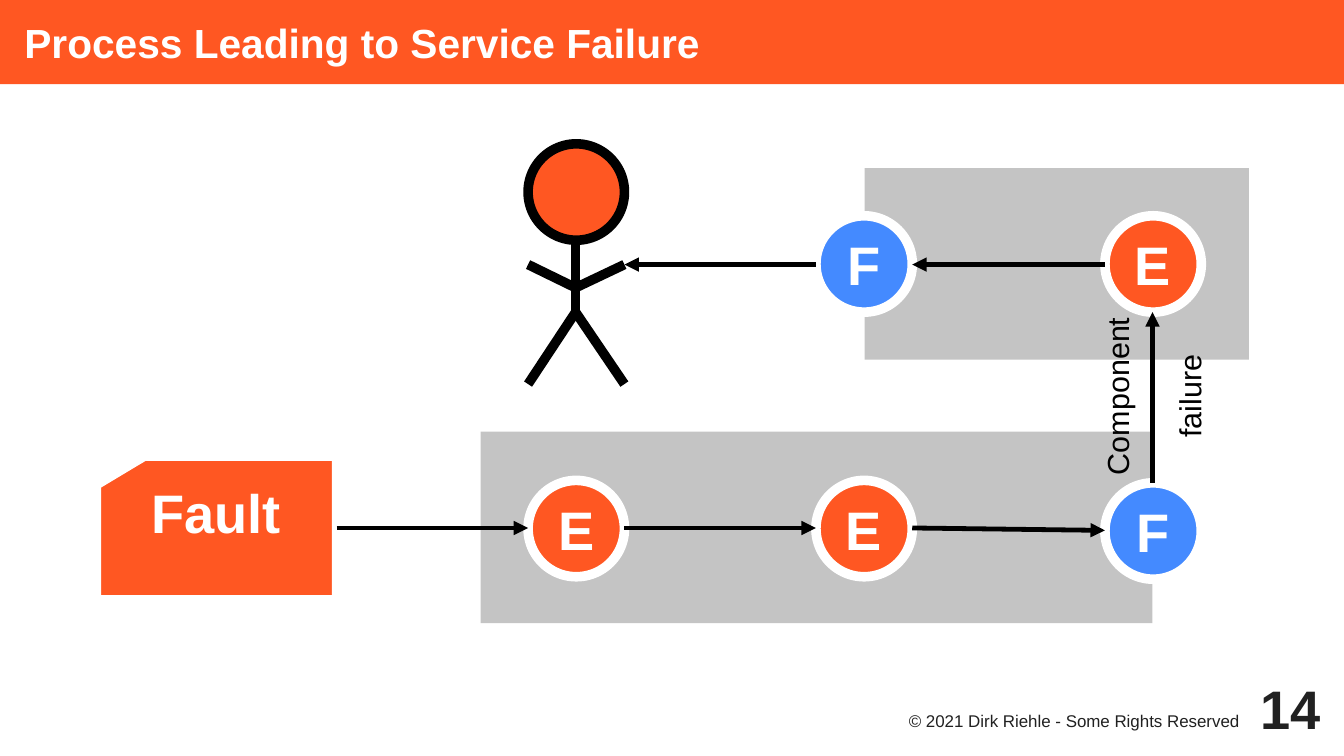
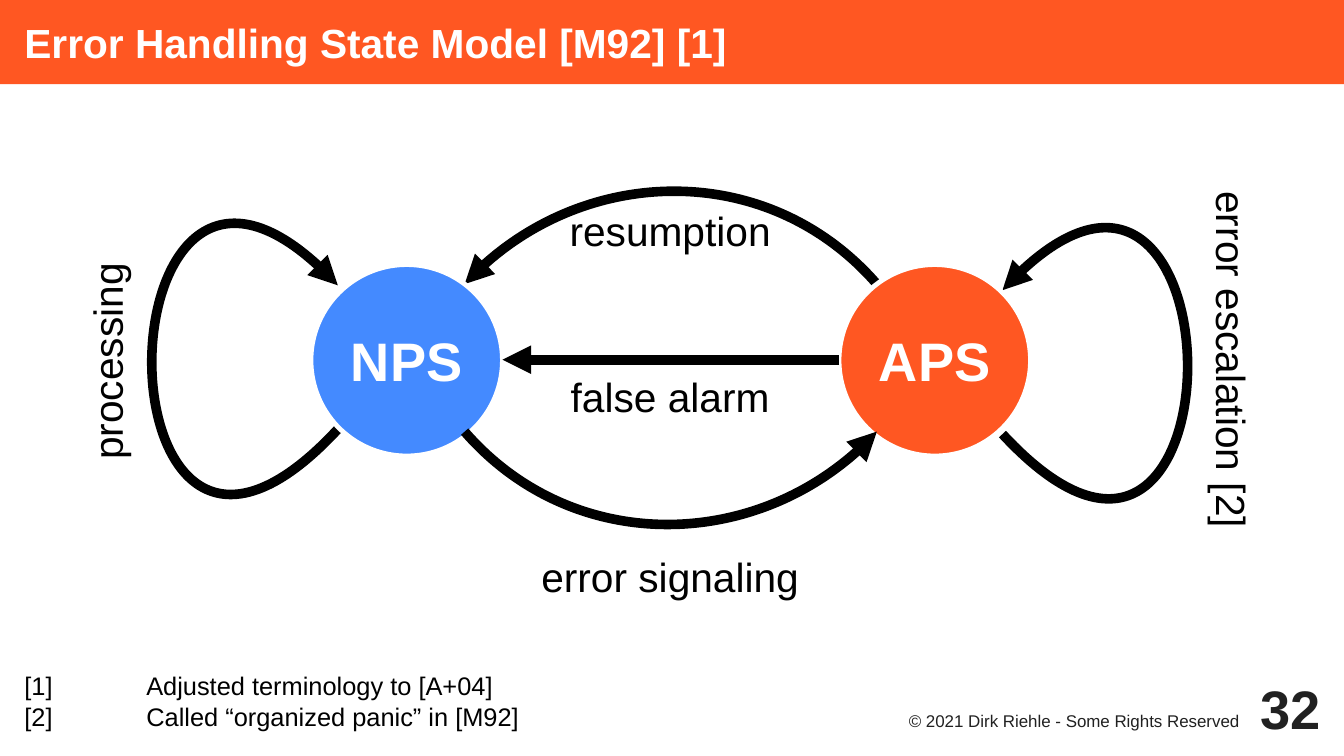
import lxml.etree
import pptx
import pptx.dml.color
import pptx.enum.shapes
import pptx.enum.text
import pptx.oxml.ns
import pptx.util

Inches = pptx.util.Inches
Pt = pptx.util.Pt
qn = pptx.oxml.ns.qn
Shape = pptx.enum.shapes.MSO_SHAPE
Align = pptx.enum.text.PP_ALIGN
Anchor = pptx.enum.text.MSO_ANCHOR

WIDTH, HEIGHT = 11.02, 6.2
FONT = "Arial"
THIN, THICK = 2.83, 5.67
COLORS = {
    "orange": "FF5722",
    "blue": "448AFF",
    "gray": "C4C4C4",
    "black": "000000",
    "white": "FFFFFF",
    "footer": "212121",
}


def rgb(name):
    """Return the named colour."""
    return pptx.dml.color.RGBColor.from_string(COLORS[name])


def write(tf, text, size=24, color="black", bold=False, align=Align.CENTER,
          anchor=Anchor.MIDDLE, insets=(0.08, 0.08, 0.08, 0.08), wrap=True,
          gap=0, tab=None):
    """Fill a text frame with one paragraph per line of text."""
    tf.auto_size = pptx.enum.text.MSO_AUTO_SIZE.NONE
    tf.word_wrap = wrap
    tf.vertical_anchor = anchor
    tf.margin_left, tf.margin_top, tf.margin_right, tf.margin_bottom = map(Inches, insets)
    for i, line in enumerate(text.split("\n")):
        p = tf.paragraphs[0] if i == 0 else tf.add_paragraph()
        p.alignment = align
        p.space_before = Pt(gap if i else 0)
        if tab:
            tabs = lxml.etree.SubElement(p._p.get_or_add_pPr(), qn("a:tabLst"))
            lxml.etree.SubElement(tabs, qn("a:tab"), pos=str(Inches(tab)), algn="l")
        r = p.add_run()
        r.text = line
        r.font.name = FONT
        r.font.size = Pt(size)
        r.font.bold = bold
        r.font.color.rgb = rgb(color)


def label(shapes, box, text, rotation=0, **fmt):
    """Add a text box."""
    sp = shapes.add_textbox(*map(Inches, box))
    sp.rotation = rotation
    write(sp.text_frame, text, **fmt)


def block(shapes, kind, box, fill, edge=None, width=THICK):
    """Add a filled preset shape with an optional outline."""
    sp = shapes.add_shape(kind, *map(Inches, box))
    sp.shadow.inherit = False
    sp.fill.solid()
    sp.fill.fore_color.rgb = rgb(fill)
    if edge:
        sp.line.color.rgb = rgb(edge)
        sp.line.width = Pt(width)
    else:
        sp.line.fill.background()
    return sp


def disc(shapes, x, y, size, fill, text, width=THICK):
    """Add a lettered circle with a white rim."""
    sp = block(shapes, Shape.OVAL, (x, y, size, size), fill, "white", width)
    write(sp.text_frame, text, size=32, color="white", bold=True, wrap=False)


def stroke(sp, width, arrow):
    """Style a line and give it an arrowhead if wanted."""
    sp.line.color.rgb = rgb("black")
    sp.line.width = Pt(width)
    if arrow:
        ln = sp.element.spPr.find(qn("a:ln"))
        lxml.etree.SubElement(ln, qn("a:tailEnd"), type="triangle")


def line(shapes, start, end, width=THIN, arrow=True):
    """Add a straight connector."""
    straight = pptx.enum.shapes.MSO_CONNECTOR.STRAIGHT
    sp = shapes.add_connector(straight, *map(Inches, start + end))
    stroke(sp, width, arrow)
    lxml.etree.SubElement(sp.element.spPr, qn("a:effectLst"))


def bezier(points, t):
    """Return the point at t on a cubic curve."""
    weights = ((1 - t) ** 3, 3 * t * (1 - t) ** 2, 3 * t * t * (1 - t), t ** 3)
    return tuple(sum(w * p[axis] for w, p in zip(weights, points)) for axis in (0, 1))


def curve(shapes, *points):
    """Add a cubic curve ending in an arrowhead, boxed by its true extent."""
    points = [tuple(map(Inches, p)) for p in points]
    trace = [bezier(points, i / 40) for i in range(41)]
    builder = shapes.build_freeform(*trace[0], scale=1.0)
    builder.add_line_segments(trace[1:], close=False)
    sp = builder.convert_to_shape()
    path = sp.element.find(".//" + qn("a:path"))
    for node in path[1:]:
        path.remove(node)
    cubic = lxml.etree.SubElement(path, qn("a:cubicBezTo"))
    for x, y in points[1:]:
        lxml.etree.SubElement(cubic, qn("a:pt"), x=str(x - sp.left), y=str(y - sp.top))
    sp.shadow.inherit = False
    sp.fill.background()
    stroke(sp, THICK, True)


def new_slide(prs, title, number):
    """Add a slide with its title band and footer."""
    s = prs.slides.add_slide(prs.slide_layouts[5])
    sp = s.shapes.title
    sp.left, sp.top, sp.width, sp.height = map(Inches, (0, 0, WIDTH, 0.69))
    sp.fill.solid()
    sp.fill.fore_color.rgb = rgb("orange")
    write(sp.text_frame, title, color="white", bold=True, align=Align.LEFT,
          insets=(0.2, 0, 0, 0))
    label(s.shapes, (7.09, 5.81, 3.15, 0.3), "© 2021 Dirk Riehle - Some Rights Reserved",
          size=10, color="footer", align=Align.RIGHT, anchor=Anchor.TOP,
          insets=(0, 0.02, 0.08, 0))
    label(s.shapes, (10.04, 5.51, 0.79, 0.59), number, size=32, color="footer",
          bold=True, align=Align.RIGHT, insets=(0, 0, 0, 0))
    return s


def stick_figure(s):
    """Draw the service user as a grouped stick figure."""
    shapes = s.shapes.add_group_shape().shapes
    x, left, right = 4.72, 4.33, 5.12
    limbs = [((x, 2.56), (x, 1.57))]
    for side in (left, right):
        limbs += [((side, 2.17), (x, 2.36)), ((x, 2.56), (side, 3.15))]
    for start, end in limbs:
        line(shapes, start, end, THICK, arrow=False)
    block(shapes, Shape.OVAL, (left, 1.18, 0.79, 0.79), "orange", "black")


def failure_slide(prs):
    """Build the chain from fault to service failure."""
    s = new_slide(prs, "Process Leading to Service Failure", "14")
    shapes = s.shapes
    for box in ((7.09, 1.38, 3.15, 1.57), (3.94, 3.54, 5.51, 1.57)):
        block(shapes, Shape.RECTANGLE, box, "gray")
    stick_figure(s)
    fault = block(shapes, Shape.FLOWCHART_CARD, (0.79, 3.74, 1.97, 1.18), "orange", "white")
    write(fault.text_frame, "Fault", size=32, color="white", bold=True, wrap=False,
          insets=(0.1, 0, 0.1, 0.5))
    size, first, second, third = 0.79, 4.33, 6.69, 9.06
    for x, y, text in ((third, 3.96, "F"), (second, 3.94, "E"), (first, 3.94, "E"),
                       (second, 1.77, "F"), (third, 1.77, "E")):
        disc(shapes, x, y, size, "blue" if text == "F" else "orange", text)
    upper, lower = 2.17, 4.33
    for start, end in (((2.76, lower), (first, lower)),
                       ((first + size, lower), (second, lower)),
                       ((second + size, lower), (third, 4.35)),
                       ((9.45, 3.96), (9.45, 2.56)),
                       ((third, upper), (second + size, upper)),
                       ((second, upper), (first + size, upper))):
        line(shapes, start, end)
    label(shapes, (8.37, 2.66, 2.17, 1.18), "Component\nfailure", rotation=270,
          size=18, gap=21)


def state_slide(prs):
    """Build the two-state error handling model."""
    s = new_slide(prs, "Error Handling State Model [M92] [1]", "32")
    shapes = s.shapes.add_group_shape().shapes
    curve(shapes, (7.19, 2.33), (6.33, 1.34), (4.71, 1.34), (3.81, 2.33))
    curve(shapes, (8.22, 3.56), (10.22, 5.72), (10.22, 0.21), (8.22, 2.38))
    curve(shapes, (2.77, 3.52), (0.76, 5.69), (0.76, 0.18), (2.77, 2.34))
    disc(shapes, 2.55, 2.17, 1.57, "blue", "NPS", THIN)
    disc(shapes, 6.88, 2.17, 1.57, "orange", "APS", THIN)
    curve(shapes, (3.81, 3.54), (4.67, 4.53), (6.29, 4.53), (7.19, 3.54))
    line(shapes, (6.88, 2.95), (4.12, 2.95), THICK)
    label(shapes, (3.33, 1.67, 4.33, 0.79), "resumption", anchor=Anchor.TOP,
          insets=(0.08, 0.02, 0.08, 0))
    label(shapes, (3.33, 2.97, 4.33, 0.59), "false alarm", anchor=Anchor.TOP)
    label(shapes, (3.33, 4.43, 4.33, 0.59), "error signaling")
    label(shapes, (-0.01, 2.7, 1.77, 0.53), "processing", rotation=270, wrap=False)
    label(shapes, (8.16, 2.26, 3.15, 1.38), "error escalation [2]", rotation=90,
          anchor=Anchor.TOP, insets=(0.08, 0.12, 0.08, 0))
    label(s.shapes, (0, 4.63, 7.87, 1.57),
          "[1]\tAdjusted terminology to [A+04]\n[2]\tCalled “organized panic” in [M92]",
          size=15, align=Align.LEFT, anchor=Anchor.BOTTOM, insets=(0.2, 0, 0, 0.2), tab=1)


def main():
    """Build and save the presentation."""
    prs = pptx.Presentation()
    prs.slide_width, prs.slide_height = Inches(WIDTH), Inches(HEIGHT)
    failure_slide(prs)
    state_slide(prs)
    prs.save("out.pptx")


if __name__ == "__main__":
    main()
